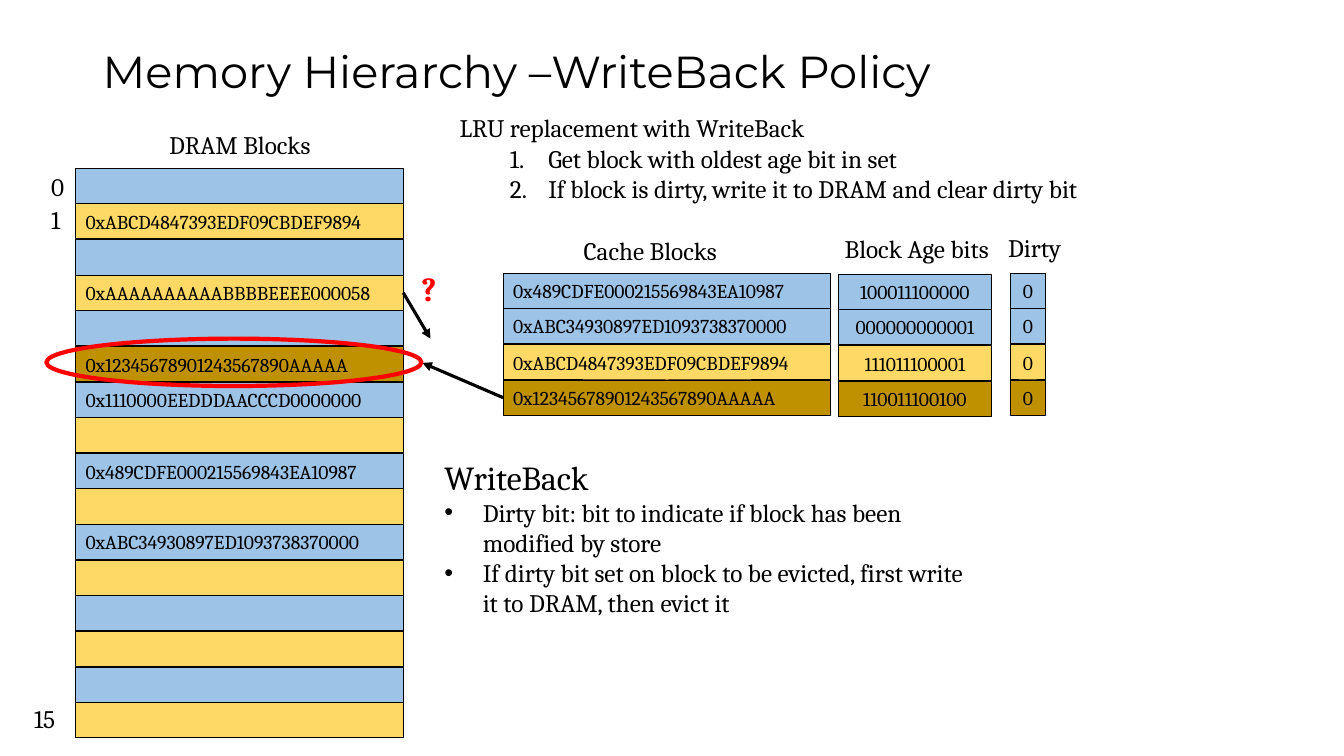
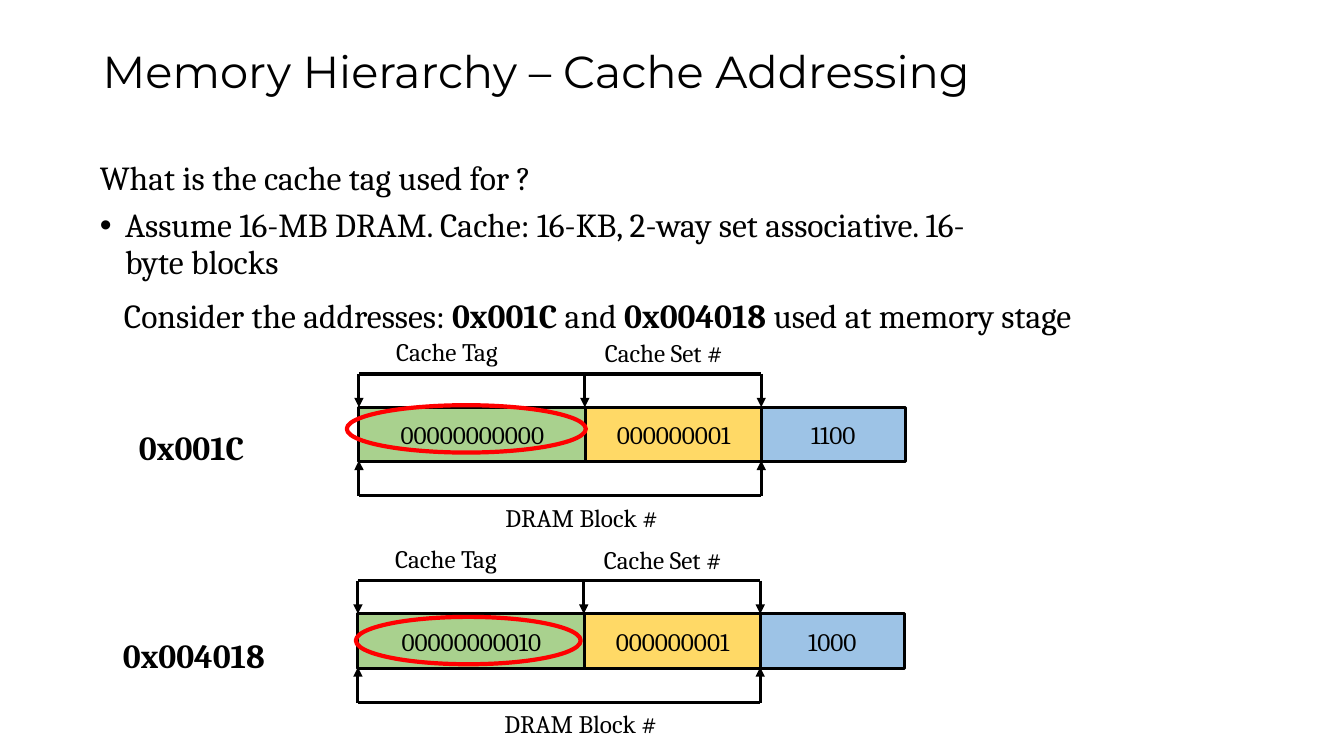
import pptx
import pptx.util
import pptx.dml.color
import pptx.enum.shapes
import pptx.enum.text
import pptx.oxml.ns
from lxml import etree

RGB = pptx.dml.color.RGBColor
BLACK = RGB(0x00, 0x00, 0x00)
RED = RGB(0xFF, 0x00, 0x00)
BLUE = RGB(0x9D, 0xC3, 0xE6)
GOLD = RGB(0xFF, 0xD9, 0x66)
BROWN = RGB(0xBF, 0x90, 0x00)
GREEN = RGB(0xA9, 0xD1, 0x8E)
FORM = pptx.enum.shapes.MSO_SHAPE
WIRE = pptx.enum.shapes.MSO_CONNECTOR
ANCHOR = pptx.enum.text.MSO_ANCHOR
LEFT = pptx.enum.text.PP_ALIGN.LEFT
MID = pptx.enum.text.PP_ALIGN.CENTER
SCALE = 9144
PITCH = 106 / 3


def px(num):
    return pptx.util.Emu(round(num) * SCALE)


def node(root, tag, **attrs):
    return etree.SubElement(root, pptx.oxml.ns.qn("a:" + tag), **attrs)


class Deck:
    body = "Cambria"
    head = "Montserrat"

    def __init__(self, wide, high):
        self.file = pptx.Presentation()
        self.file.slide_width = px(wide)
        self.file.slide_height = px(high)
        self.slide = None

    def page(self, title):
        self.slide = self.file.slides.add_slide(self.file.slide_layouts[6])
        box = self.text((92, 40, 1150, 67), title, size=32, face=self.head, lead=0.9)
        box.text_frame.vertical_anchor = ANCHOR.MIDDLE

    def para(self, frame, runs, size=18, face=None, bold=False, ink=BLACK,
             align=LEFT, lead=None, gap=None, mark=None, dent=(38, 38)):
        first = frame.paragraphs[0]
        part = frame.add_paragraph() if first.runs else first
        look = {"alignment": align, "line_spacing": lead,
                "space_before": None if gap is None else pptx.util.Pt(gap)}
        for key, val in look.items():
            setattr(part, key, val)
        if mark:
            prop = part._p.get_or_add_pPr()
            prop.set("marL", str(px(dent[0])))
            prop.set("indent", str(-px(dent[1])))
            node(prop, "buFont", typeface="Arial" if mark == "•" else self.body)
            if mark == "•":
                node(prop, "buChar", char=mark)
            else:
                node(prop, "buAutoNum", type=mark)
        for words, heavy in [(runs, bold)] if isinstance(runs, str) else runs:
            run = part.add_run()
            run.text = words
            style = {"name": face or self.body, "size": pptx.util.Pt(size), "bold": heavy}
            for key, val in style.items():
                setattr(run.font, key, val)
            run.font.color.rgb = ink

    def text(self, area, runs, pad=(10, 5), **style):
        box = self.slide.shapes.add_textbox(*map(px, area))
        self.frame(box, pad)
        self.para(box.text_frame, runs, **style)
        return box

    def frame(self, shape, pad):
        side, edge = map(px, pad)
        style = {"word_wrap": True, "margin_left": side, "margin_right": side,
                 "margin_top": edge, "margin_bottom": edge}
        for key, val in style.items():
            setattr(shape.text_frame, key, val)

    def shape(self, form, area, fill, line, thick):
        item = self.slide.shapes.add_shape(form, *map(px, area))
        item.shadow.inherit = False
        if fill is None:
            item.fill.background()
        else:
            item.fill.solid()
            item.fill.fore_color.rgb = fill
        item.line.color.rgb = line
        item.line.width = pptx.util.Pt(thick)
        return item

    def cell(self, area, fill, words="", thick=0.75, size=14, align=MID):
        item = self.shape(FORM.RECTANGLE, area, fill, BLACK, thick)
        self.frame(item, (10, 10))
        item.text_frame.vertical_anchor = ANCHOR.MIDDLE
        if words:
            self.para(item.text_frame, words, size=size, align=align)
        return item

    def stack(self, left, top, wide, rows, align=MID):
        return [self.cell((left, top + n * PITCH, wide, 35), fill, words, align=align)
                for n, (fill, words) in enumerate(rows)]

    def ring(self, area):
        self.shape(FORM.OVAL, area, None, RED, 3)

    def line(self, start, end, arrow=False):
        wire = self.slide.shapes.add_connector(WIRE.STRAIGHT, *map(px, start + end))
        wire.line.color.rgb = BLACK
        wire.line.width = pptx.util.Pt(2.25)
        if arrow:
            node(wire.line._get_or_add_ln(), "tailEnd", type="triangle")
        node(wire._element.spPr, "effectLst")
        return wire


def policy(deck):
    deck.page("Memory Hierarchy –WriteBack Policy")
    data = {1: "0xABCD4847393EDF09CBDEF9894", 3: "0xAAAAAAAAAABBBBEEEE000058",
            5: "0x12345678901243567890AAAAA", 6: "0x1110000EEDDDAACCCD0000000",
            8: "0x489CDFE000215569843EA10987", 10: "0xABC34930897ED1093738370000"}
    rows = [(BROWN if n == 5 else (BLUE, GOLD)[n % 2], data.get(n, ""))
            for n in range(16)]
    dram = deck.stack(75, 167, 325, rows, LEFT)

    tints = (BLUE, BLUE, GOLD, BROWN)
    cache = deck.stack(499, 271, 325, list(zip(tints, [data[n] for n in (8, 10, 1, 5)])), LEFT)
    ages = ("100011100000", "000000000001", "111011100001", "110011100100")
    deck.stack(832, 272, 151, list(zip(tints, ages)))
    deck.stack(1002, 271, 35, list(zip(tints, "0000")))

    for left, top, wide, words in (
            (158, 123, 166, "DRAM Blocks"), (569, 229, 161, "Cache Blocks"),
            (828, 227, 173, "Block Age bits"), (990, 226, 76, "Dirty"),
            (41, 165, 34, "0"), (41, 198, 34, "1"), (24, 693, 50, "15")):
        deck.text((left, top, wide, 40), words)

    steps = deck.text((446, 107, 660, 100), "LRU replacement with WriteBack")
    for words in ("Get block with oldest age bit in set",
                  "If block is dirty, write it to DRAM and clear dirty bit"):
        deck.para(steps.text_frame, words, mark="arabicPeriod", dent=(88, 38))

    notes = deck.text((431, 448, 539, 180), "WriteBack", size=24)
    for words in ("Dirty bit: bit to indicate if block has been modified by store",
                  "If dirty bit set on block to be evicted, first write it to DRAM, then evict it"):
        deck.para(notes.text_frame, words, mark="•")

    deck.ring((46, 336, 372, 47))
    deck.text((408, 261, 35, 50), "?", size=24, bold=True, ink=RED)
    deck.line((400, 291), (427, 336), True).begin_connect(dram[3], 3)
    deck.line((499, 394), (419, 360), True).begin_connect(cache[3], 1)


def split(deck, left, top, bits):
    ends = (0, 225, 399, 542)
    for n, (fill, words) in enumerate(zip((GREEN, GOLD, BLUE), bits)):
        deck.cell((left + ends[n], top, ends[n + 1] - ends[n], 54), fill, words, 2.25, 18)
    marks = [left + x for x in (0, 224, 399)]
    roof, floor = top - 33, top + 88
    for start, end in zip(marks, marks[1:]):
        deck.line((start, roof), (end, roof))
    for x in marks:
        deck.line((x, roof), (x, top), True)
    deck.line((marks[0], floor), (marks[2], floor))
    for x in (marks[0], marks[2]):
        deck.line((x, floor), (x, top + 53), True)
    for x, y, wide, words, align in ((27, -75, 130, "Cache Tag", LEFT),
                                     (234, -74, 144, "Cache Set #", LEFT),
                                     (99, 89, 244, "DRAM Block #", MID)):
        deck.text((left + x, top + y, wide, 40), words, align=align)


def address(deck):
    deck.page("Memory Hierarchy – Cache Addressing")
    intro = deck.text((92, 153, 884, 226), "What is the cache tag used for ?",
                      pad=(7, 7), size=24, lead=0.9, gap=8)
    deck.para(intro.text_frame,
              "Assume 16-MB DRAM. Cache: 16-KB, 2-way set associative. 16-byte blocks",
              size=24, lead=0.9, gap=8, mark="•", dent=(25, 25))
    deck.text((113, 288, 1033, 50),
              [("Consider the addresses: ", False), ("0x001C ", True), ("and", False),
               (" 0x004018 ", True), ("used at memory stage", False)], size=24)
    for left, top, name, spot, bits, ring in (
            (356, 404, "0x001C", (128, 419), ("00000000000", "000000001", "1100"),
             (344, 402, 237, 47)),
            (355, 609, "0x004018", (112, 625), ("00000000010", "000000001", "1000"),
             (353, 612, 223, 47))):
        split(deck, left, top, bits)
        deck.text(spot + (188, 50), name, size=24, bold=True)
        deck.ring(ring)


def main():
    deck = Deck(1333, 750)
    policy(deck)
    address(deck)
    deck.file.save("out.pptx")


if __name__ == "__main__":
    main()
